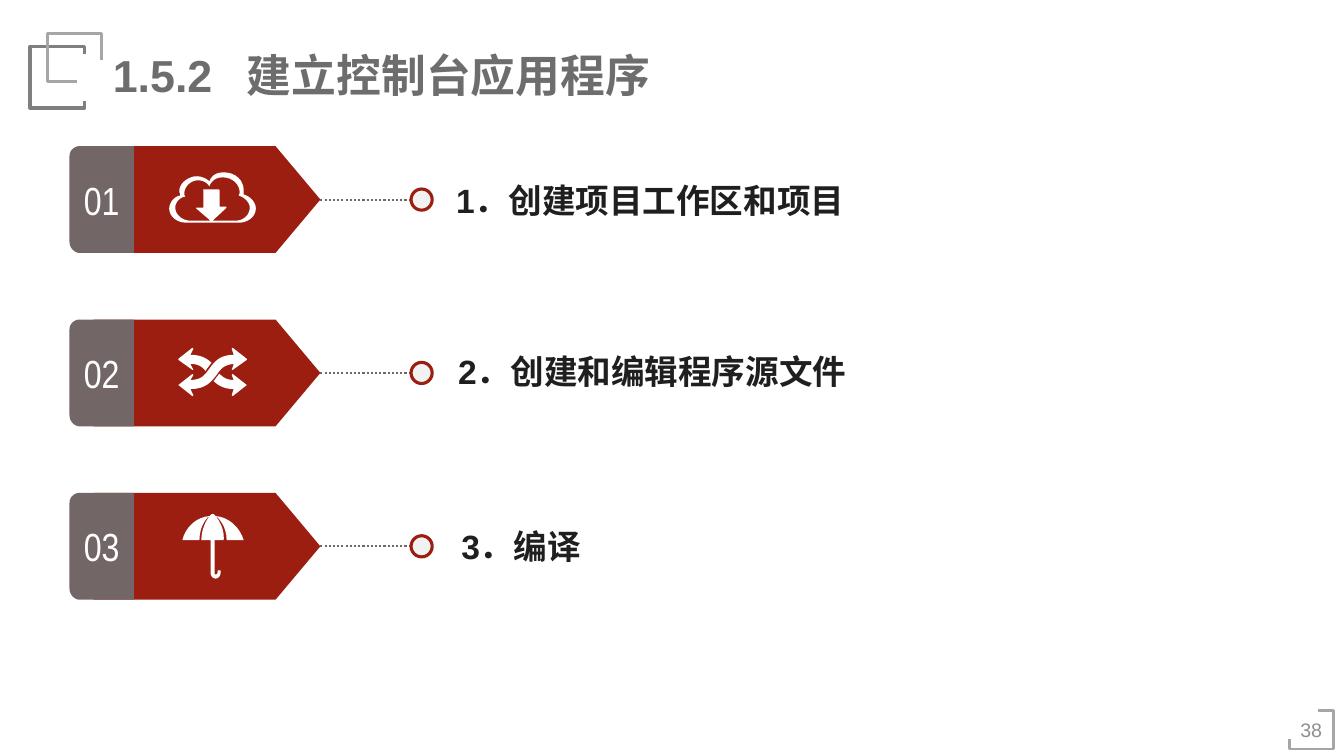
from dataclasses import dataclass

from pptx import Presentation
from pptx import util as u
from pptx.dml.color import RGBColor
from pptx.enum import dml, shapes, text
from pptx.oxml.xmlchemy import OxmlElement
from pptx.shapes.autoshape import Shape
from pptx.slide import Slide

Point = tuple[float, float]


@dataclass(frozen=True)
class Theme:
    red: str = "9B1E11"
    taupe: str = "736666"
    white: str = "FFFFFF"
    dot: str = "F2F2F2"
    ink: str = "1F1F1F"
    title: str = "6D6D6D"
    number: str = "8F8F8F"
    frame_dark: str = "7F7F7F"
    frame_light: str = "A6A6A6"
    font: str = "Arial"
    narrow_font: str = "Arial Narrow"
    title_size: int = 32
    tab_size: int = 28
    label_size: int = 24
    number_size: int = 14


@dataclass(frozen=True)
class Box:
    left: float
    top: float
    width: float
    height: float

    def lengths(self) -> list[u.Length]:
        return [u.Inches(v) for v in (self.left, self.top, self.width, self.height)]


@dataclass(frozen=True)
class Step:
    number: str
    label: str
    label_box: Box
    icon: str
    icon_left: float
    icon_top: float


@dataclass(frozen=True)
class Frame:
    points: tuple[Point, ...]
    color: str
    width: float


THEME = Theme()
FIRST_TOP, PITCH, HEIGHT = 1.45, 1.72, 1.06
DOT_LEFT, DOT_SIZE = 4.08, 0.21

TAB = "M 0 95 L 0 10 C 0 4 5 0 10 0 L 64 0 L 64 106 L 10 106 C 5 106 0 101 0 95"
CLOUD = (
    "M 74 22 C 74 21 74 19 74 18 C 74 8 66 0 54 0 C 42 0 40 9 40 9 C 40 9 34 3 25 4 "
    "C 16 6 10 12 10 19 C 10 20 11 21 11 23 C 5 24 0 30 0 36 C 0 44 8 50 17 50 "
    "L 69 50 C 78 50 86 44 86 36 C 86 30 81 24 74 22 "
    "M 66 48 L 43 48 L 56 36 C 56 36 58 34 56 34 L 50 34 L 50 18 C 50 18 50 17 49 17 "
    "L 35 17 C 33 17 34 18 34 18 L 34 35 L 28 35 C 26 35 27 36 27 36 L 41 48 L 21 48 "
    "C 13 48 6 42 6 35 C 6 30 10 25 16 24 C 15 23 15 22 15 21 C 15 15 20 9 27 8 "
    "C 36 7 40 14 40 14 C 40 14 42 5 53 5 C 63 5 70 12 70 20 C 70 21 69 23 69 23 "
    "C 75 25 80 30 80 35 C 80 42 74 48 66 48"
)
SHUFFLE = (
    "M 68 37 L 54 48 L 53 47 L 55 41 C 45 41 39 37 35 33 C 37 31 38 29 39 28 "
    "C 40 27 40 26 41 26 C 44 29 48 32 55 32 L 53 27 L 54 26 "
    "M 14 22 L 15 22 L 12 16 C 20 16 24 19 27 23 C 28 22 28 21 29 20 "
    "C 30 19 31 17 33 15 C 29 11 23 7 12 7 L 15 1 L 14 0 L 0 11 L 0 12 "
    "M 38 27 C 42 21 45 17 55 16 L 53 22 L 54 22 L 68 12 L 68 11 L 54 0 L 53 1 L 55 7 "
    "C 40 7 35 15 30 22 C 26 27 23 32 12 32 L 15 27 L 14 26 L 0 37 L 14 48 L 15 47 "
    "L 12 41 C 28 41 33 33 38 27"
)
UMBRELLA = (
    "M 44 26 L 61 26 C 57 13 46 3 33 2 C 32 1 32 0 30 0 C 29 0 28 1 27 2 "
    "C 14 3 3 13 0 26 L 17 26 C 17 11 25 3 27 2 C 18 14 19 26 19 26 L 28 26 L 28 58 "
    "C 28 61 30 64 33 64 C 36 64 38 61 38 58 L 38 56 L 35 56 L 35 58 "
    "C 35 59 34 60 33 60 C 32 60 32 59 32 58 L 32 26 L 41 26 C 41 26 43 14 33 2 "
    "C 35 3 44 11 44 26"
)
STEPS = (
    Step("01", "1．创建项目工作区和项目", Box(4.43, 1.74, 4.19, 0.5), CLOUD, 1.68, 1.71),
    Step("02", "2．创建和编辑程序源文件", Box(4.45, 3.43, 4.36, 0.5), SHUFFLE, 1.77, 3.45),
    Step("03", "3．编译", Box(4.48, 5.17, 3.09, 0.5), UMBRELLA, 1.81, 5.1),
)
FRAMES = (
    Frame(((0.84, 0.54), (0.84, 0.46), (0.3, 0.46), (0.3, 1.07), (0.84, 1.07), (0.84, 1)),
          THEME.frame_dark, 2.5),
    Frame(((1.01, 0.6), (1.01, 0.33), (0.47, 0.33), (0.47, 0.81), (0.76, 0.81)),
          THEME.frame_light, 2.5),
    Frame(((12.8, 7.33), (12.8, 7.43), (13.24, 7.43), (13.24, 7.05), (13.08, 7.05)),
          THEME.frame_light, 2),
)


def trace(outline: str, left: float, top: float) -> list[list[Point]]:
    contours: list[list[Point]] = []
    tokens = iter(outline.split())
    for command in tokens:
        points = [(left + float(next(tokens)) / 100, top + float(next(tokens)) / 100)
                  for _ in range(3 if command == "C" else 1)]
        if command == "M":
            contours.append(points)
        elif command == "L":
            contours[-1] += points
        else:
            controls = [contours[-1][-1], *points]
            for t in (step / 8 for step in range(1, 9)):
                weights = ((1 - t) ** 3, 3 * t * (1 - t) ** 2, 3 * t * t * (1 - t), t ** 3)
                x, y = (sum(w * c[axis] for w, c in zip(weights, controls)) for axis in (0, 1))
                contours[-1].append((x, y))
    return contours


def paint(shape: Shape, fill: str | None, line: str | None = None, width: float = 0) -> None:
    shape.shadow.inherit = False
    if fill:
        shape.fill.solid()
        shape.fill.fore_color.rgb = RGBColor.from_string(fill)
    else:
        shape.fill.background()
    if line:
        shape.line.color.rgb = RGBColor.from_string(line)
        shape.line.width = u.Pt(width)
    else:
        shape.line.fill.background()


def add_outline(slide: Slide, contours: list[list[Point]], close: bool = True) -> Shape:
    emu = [[(u.Inches(x), u.Inches(y)) for x, y in contour] for contour in contours]
    builder = slide.shapes.build_freeform(*emu[0][0])
    for index, contour in enumerate(emu):
        if index:
            builder.move_to(*contour[0])
        builder.add_line_segments(contour[1:], close=close)
    return builder.convert_to_shape()


def write(shape: Shape, words: str, size: int, color: str, font: str = THEME.font,
          bold: bool = False, align=text.PP_ALIGN.LEFT, anchor=text.MSO_ANCHOR.TOP,
          side: float = 0.1, wrap: bool = True, tab: float | None = None) -> None:
    frame_format = {"word_wrap": wrap, "vertical_anchor": anchor,
                    "auto_size": text.MSO_AUTO_SIZE.NONE,
                    "margin_left": u.Inches(side), "margin_right": u.Inches(side),
                    "margin_top": u.Inches(0.05), "margin_bottom": u.Inches(0.05)}
    for name, value in frame_format.items():
        setattr(shape.text_frame, name, value)
    shape.text_frame.text = words
    paragraph = shape.text_frame.paragraphs[0]
    for name, value in {"alignment": align, "line_spacing": 1.0}.items():
        setattr(paragraph, name, value)
    if tab:
        tabs, stop = OxmlElement("a:tabLst"), OxmlElement("a:tab")
        stop.set("pos", str(u.Inches(tab)))
        stop.set("algn", "l")
        tabs.append(stop)
        paragraph._p.get_or_add_pPr().append(tabs)
    run_font = paragraph.runs[0].font
    for name, value in {"name": font, "size": u.Pt(size), "bold": bold}.items():
        setattr(run_font, name, value)
    run_font.color.rgb = RGBColor.from_string(color)


def add_step(slide: Slide, step: Step, top: float) -> None:
    middle = top + HEIGHT / 2
    arrow = slide.shapes.add_shape(shapes.MSO_SHAPE.PENTAGON,
                                   *Box(0.93, top, 2.25, HEIGHT).lengths())
    arrow.adjustments[0] = 0.42
    paint(arrow, THEME.red)
    tab = add_outline(slide, trace(TAB, 0.69, top))
    paint(tab, THEME.taupe)
    write(tab, step.number, THEME.tab_size, THEME.white, THEME.narrow_font,
          align=text.PP_ALIGN.CENTER, anchor=text.MSO_ANCHOR.MIDDLE, side=0.05)
    leader = slide.shapes.add_connector(shapes.MSO_CONNECTOR.STRAIGHT, u.Inches(3.18),
                                        u.Inches(middle), u.Inches(DOT_LEFT), u.Inches(middle))
    leader.begin_connect(arrow, 3)
    leader.line.color.rgb = RGBColor.from_string(THEME.taupe)
    for name, value in {"width": u.Pt(1.5), "dash_style": dml.MSO_LINE.ROUND_DOT}.items():
        setattr(leader.line, name, value)
    leader._element.spPr.append(OxmlElement("a:effectLst"))
    dot = slide.shapes.add_shape(
        shapes.MSO_SHAPE.OVAL,
        *Box(DOT_LEFT, middle - DOT_SIZE / 2, DOT_SIZE, DOT_SIZE).lengths())
    paint(dot, THEME.dot, THEME.red, 2.25)
    paint(add_outline(slide, trace(step.icon, step.icon_left, step.icon_top)), THEME.white)
    label = slide.shapes.add_textbox(*step.label_box.lengths())
    write(label, step.label, THEME.label_size, THEME.ink, bold=True)


def main() -> None:
    presentation = Presentation()
    presentation.slide_width, presentation.slide_height = u.Inches(13.34), u.Inches(7.5)
    slide = presentation.slides.add_slide(presentation.slide_layouts[5])
    for frame in FRAMES:
        paint(add_outline(slide, [list(frame.points)], close=False), None, frame.color, frame.width)
    title = slide.shapes.title
    title.left, title.top, title.width, title.height = Box(1.02, 0.42, 5.55, 0.63).lengths()
    write(title, "1.5.2\t建立控制台应用程序", THEME.title_size, THEME.title, bold=True,
          wrap=False, tab=1.33)
    number = slide.shapes.add_textbox(*Box(12.8, 6.97, 0.43, 0.54).lengths())
    write(number, "38", THEME.number_size, THEME.number, align=text.PP_ALIGN.CENTER,
          anchor=text.MSO_ANCHOR.MIDDLE, side=0.07)
    for index, step in enumerate(STEPS):
        add_step(slide, step, FIRST_TOP + index * PITCH)
    presentation.save("out.pptx")


if __name__ == "__main__":
    main()
